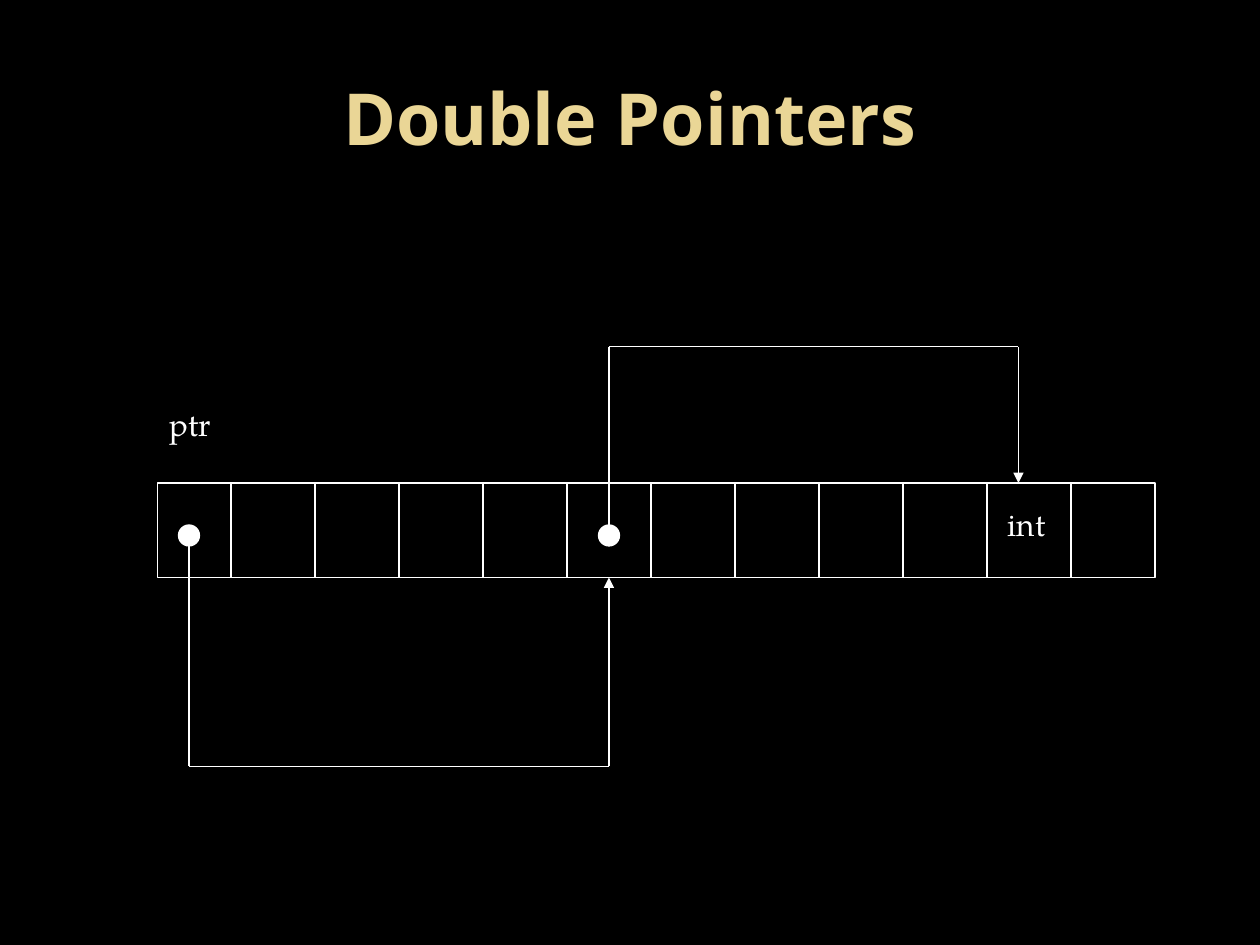
"""Build a slide that shows a double pointer as linked memory cells."""
from itertools import pairwise

from lxml.etree import SubElement
from pptx import Presentation
from pptx.dml.color import RGBColor
from pptx.enum.shapes import MSO_CONNECTOR as Connector, MSO_SHAPE as Shape
from pptx.enum.text import MSO_ANCHOR as Anchor, MSO_AUTO_SIZE as AutoSize, PP_ALIGN as Align
from pptx.oxml.ns import qn
from pptx.util import Pt

PX = 7620
SLIDE = (1200, 900)
THEME = {
    "paper": RGBColor.from_string("000000"),
    "ink": RGBColor.from_string("FFFFFF"),
    "gold": RGBColor.from_string("EAD696"),
    "line": Pt(0.75),
    "title": {"name": "Open Sans", "size": Pt(41), "bold": True},
    "label": {"name": "TeX Gyre Pagella", "size": Pt(18), "bold": False},
}

TITLE = ("Double Pointers", (60, 36, 1080, 150))
LABELS = [("int", (948, 475, 66, 60)), ("ptr", (150, 380, 68, 60))]
MEMORY = (150, 460, 950, 90)
FIRST_DIVIDER, CELL_WIDTH = 220, 80
DOT = 20
POINTERS = [
    [(180, 510), (180, 730), (580, 730), (580, 550)],
    [(580, 510), (580, 330), (970, 330), (970, 460)],
]


def emu(lengths):
    return [length * PX for length in lengths]


def apply(target, values):
    for name, value in values.items():
        setattr(target, name, value)


def write(box, text, font, color, align):
    para = box.text_frame.paragraphs[0]
    para.alignment = align
    span = para.add_run()
    span.text = text
    apply(span.font, font)
    span.font.color.rgb = color


def add_title(page):
    text, place = TITLE
    title = page.shapes.title
    apply(title, dict(zip(("left", "top", "width", "height"), emu(place))))
    apply(title.text_frame, {"vertical_anchor": Anchor.MIDDLE, "word_wrap": True})
    write(title, text, THEME["title"], THEME["gold"], Align.CENTER)


def add_label(page, text, place):
    box = page.shapes.add_textbox(*emu(place))
    apply(box.text_frame, {"word_wrap": False, "auto_size": AutoSize.SHAPE_TO_FIT_TEXT})
    write(box, text, THEME["label"], THEME["ink"], Align.LEFT)


def outline(item):
    item.line.color.rgb = THEME["ink"]
    item.line.width = THEME["line"]


def add_solid(page, kind, place, color):
    solid = page.shapes.add_shape(kind, *emu(place))
    solid.shadow.inherit = False
    solid.fill.solid()
    solid.fill.fore_color.rgb = color
    outline(solid)


def add_line(page, start, end, arrow=False):
    line = page.shapes.add_connector(Connector.STRAIGHT, *emu(start + end))
    outline(line)
    if arrow:
        SubElement(line.line._get_or_add_ln(), qn("a:tailEnd"), type="triangle")
    SubElement(line._element.spPr, qn("a:effectLst"))


def add_memory(page):
    left, top, width, height = MEMORY
    add_solid(page, Shape.RECTANGLE, MEMORY, THEME["paper"])
    for x in range(FIRST_DIVIDER, left + width, CELL_WIDTH):
        add_line(page, (x, top), (x, top + height))


def add_pointer(page, points):
    x, y = points[0]
    add_solid(page, Shape.OVAL, (x - DOT // 2, y - DOT // 2, DOT, DOT), THEME["ink"])
    for start, end in pairwise(points):
        add_line(page, start, end, arrow=end == points[-1])


def main():
    deck = Presentation()
    deck.slide_width, deck.slide_height = emu(SLIDE)
    page = deck.slides.add_slide(deck.slide_layouts[5])
    page.background.fill.solid()
    page.background.fill.fore_color.rgb = THEME["paper"]
    add_title(page)
    add_memory(page)
    for points in POINTERS:
        add_pointer(page, points)
    for text, place in LABELS:
        add_label(page, text, place)
    deck.save("out.pptx")


if __name__ == "__main__":
    main()
